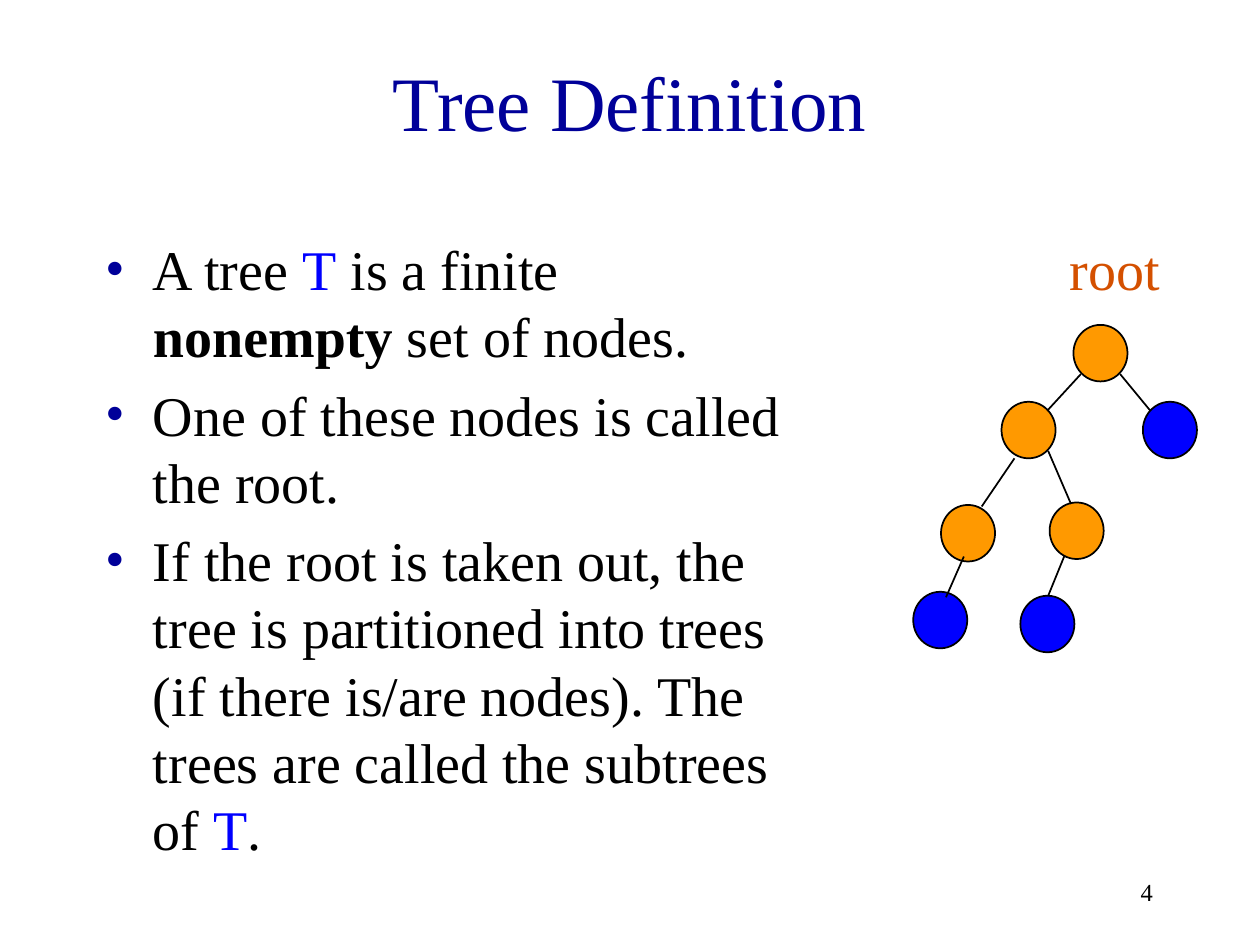
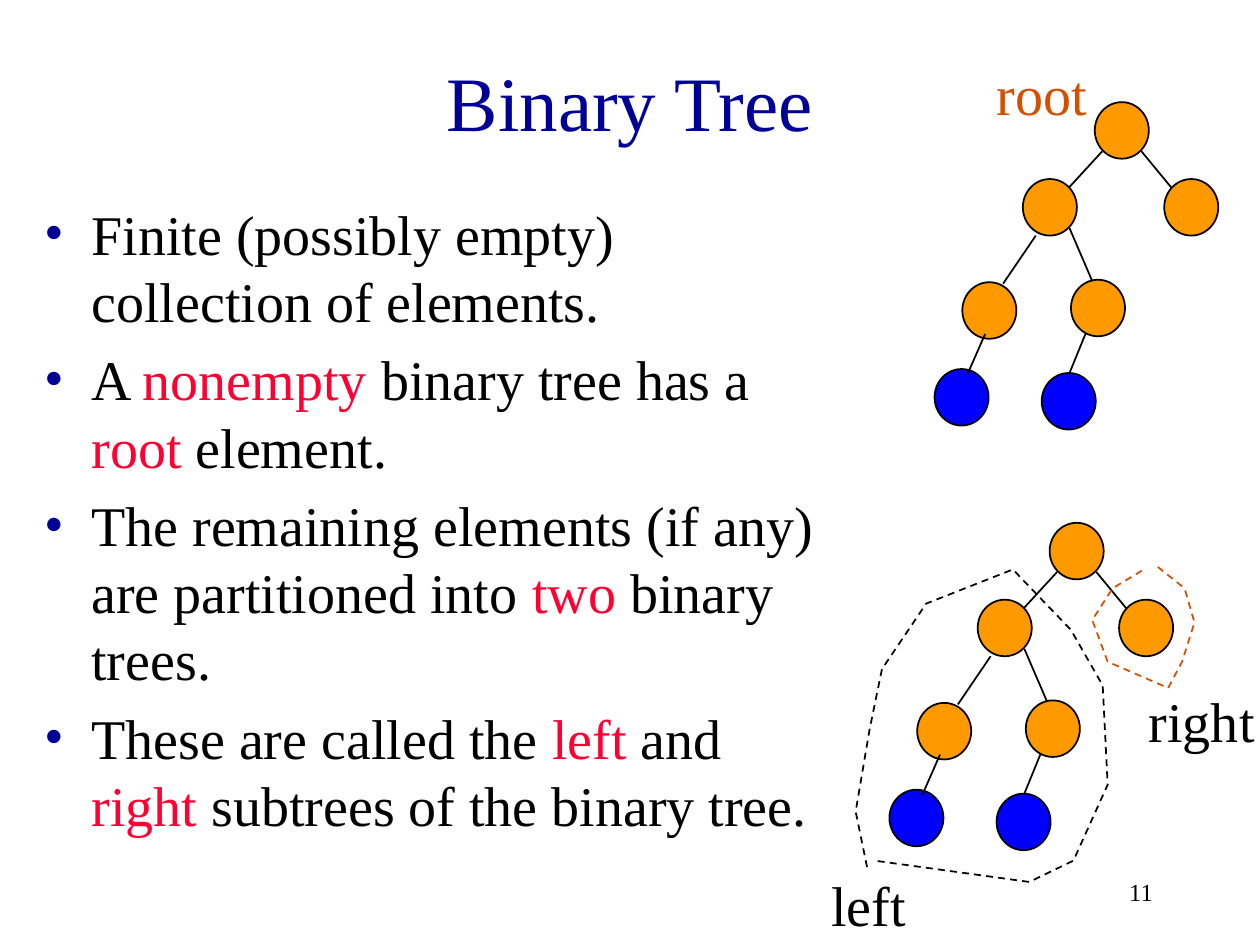
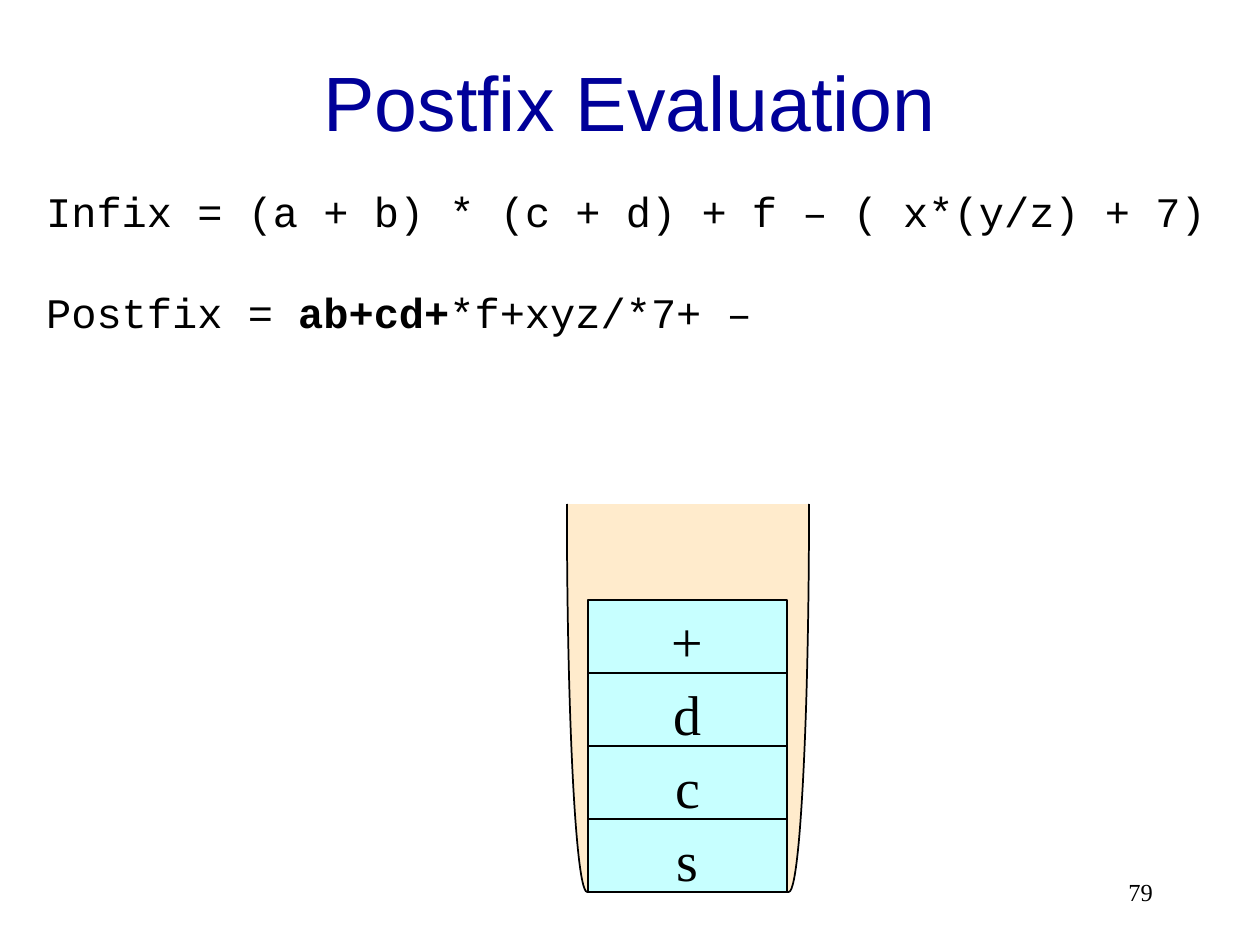
from pptx import Presentation
from pptx.dml.color import RGBColor
from pptx.enum.dml import MSO_LINE
from pptx.enum.shapes import MSO_CONNECTOR, MSO_SHAPE
from pptx.enum.text import MSO_ANCHOR, MSO_AUTO_SIZE, PP_ALIGN
from pptx.oxml.ns import qn
from pptx.util import Cm, Pt
from lxml import etree

NAVY = RGBColor(0x00, 0x00, 0x99)
BLACK = RGBColor(0x00, 0x00, 0x00)
BLUE = RGBColor(0x00, 0x00, 0xFF)
RED = RGBColor(0xFF, 0x00, 0x33)
ORANGE = RGBColor(0xFF, 0x99, 0x00)
RUST = RGBColor(0xD4, 0x50, 0x00)
CREAM = RGBColor(0xFF, 0xEB, 0xCC)
CYAN = RGBColor(0xC7, 0xFF, 0xFF)

SERIF = "Times New Roman"
SANS = "Arial"
MONO = "Courier New"

OVAL = MSO_SHAPE.OVAL
RECTANGLE = MSO_SHAPE.RECTANGLE
LEFT_BRACKET = MSO_SHAPE.LEFT_BRACKET
STRAIGHT = MSO_CONNECTOR.STRAIGHT
DASH = MSO_LINE.DASH
TOP = MSO_ANCHOR.TOP
MIDDLE = MSO_ANCHOR.MIDDLE
NO_FIT = MSO_AUTO_SIZE.NONE
CENTER = PP_ALIGN.CENTER
RIGHT = PP_ALIGN.RIGHT

NODE_W, NODE_H = 1.09, 1.14
NODES = [(0, 0), (-1.45, 1.55), (1.4, 1.55), (-2.67, 3.63),
         (-0.48, 3.58), (-3.23, 5.38), (-1.07, 5.46)]
EDGES = [
    (0.15, 0.99, -0.53, 1.73),
    (-1.19, 2.69, -1.85, 3.66),
    (-2.21, 4.67, -2.57, 5.49),
    (0.94, 0.99, 1.55, 1.73),
    (-0.51, 2.54, -0.05, 3.61),
    (-0.18, 4.65, -0.51, 5.46),
]


def add_runs(p, runs, size, font=SERIF):
    for text, color, bold in runs:
        r = p.add_run()
        r.text = text
        r.font.name = font
        r.font.size = Pt(size)
        r.font.bold = bold
        r.font.color.rgb = color


def add_tree(s, x, y, right_color):
    group = s.shapes.add_group_shape()
    colors = [ORANGE, ORANGE, right_color, ORANGE, ORANGE, BLUE, BLUE]
    for (dx, dy), color in zip(NODES, colors):
        node = group.shapes.add_shape(OVAL, Cm(x + dx), Cm(y + dy), Cm(NODE_W), Cm(NODE_H))
        node.shadow.inherit = False
        node.fill.solid()
        node.fill.fore_color.rgb = color
        node.line.color.rgb = BLACK
        node.line.width = Pt(1)
    for x1, y1, x2, y2 in EDGES:
        edge = group.shapes.add_connector(STRAIGHT, Cm(x + x1), Cm(y + y1), Cm(x + x2), Cm(y + y2))
        edge.line.color.rgb = BLACK
        edge.line.width = Pt(1)
        etree.SubElement(edge._element.spPr, qn("a:effectLst"))


prs = Presentation()
prs.slide_width = Cm(25.4)
prs.slide_height = Cm(19.05)

slides = []
for title, font, layout, number in [
    ("Tree Definition", SERIF, 1, "4"),
    ("Binary Tree", SERIF, 1, "11"),
    ("Postfix Evaluation", SANS, 5, "79"),
]:
    s = prs.slides.add_slide(prs.slide_layouts[layout])
    slides.append(s)
    sp = s.shapes.title
    sp.left, sp.top, sp.width, sp.height = Cm(1.9), Cm(0.43), Cm(21.6), Cm(3.18)
    tf = sp.text_frame
    tf.auto_size = NO_FIT
    tf.vertical_anchor = MIDDLE
    p = tf.paragraphs[0]
    p.alignment = CENTER
    add_runs(p, [(title, NAVY, False)], 44, font)

    tf = s.shapes.add_textbox(Cm(18.21), Cm(17.35), Cm(5.28), Cm(1.27)).text_frame
    tf.word_wrap = True
    tf.vertical_anchor = MIDDLE
    p = tf.paragraphs[0]
    p.alignment = RIGHT
    add_runs(p, [(number, BLACK, False)], 14)

definition, binary, postfix = slides

definition_list = [
    [("A tree ", BLACK, False), ("T", BLUE, False), (" is a finite ", BLACK, False),
     ("nonempty", BLACK, True), (" set of nodes.", BLACK, False)],
    [("One of these nodes is called the root.", BLACK, False)],
    [("If the root is taken out, the tree is partitioned into trees (if there is/are nodes). "
      "The trees are called the subtrees of ", BLACK, False),
     ("T", BLUE, False), (".", BLACK, False)],
]
binary_list = [
    [("Finite (possibly empty) collection of elements.", BLACK, False)],
    [("A ", BLACK, False), ("nonempty", RED, False), (" binary tree has a ", BLACK, False),
     ("root", RED, False), (" element.", BLACK, False)],
    [("The remaining elements (if any) are partitioned into ", BLACK, False),
     ("two", RED, False), (" binary trees.", BLACK, False)],
    [("These are called the ", BLACK, False), ("left", RED, False), (" and ", BLACK, False),
     ("right", RED, False), (" subtrees of the binary tree.", BLACK, False)],
]
for s, x, y, w, items in [
    (definition, 1.88, 4.6, 14.4, definition_list),
    (binary, 0.64, 3.89, 16.56, binary_list),
]:
    sp = s.placeholders[1]
    sp.left, sp.top, sp.width, sp.height = Cm(x), Cm(y), Cm(w), Cm(11.43)
    tf = sp.text_frame
    tf.auto_size = NO_FIT
    for i, runs in enumerate(items):
        p = tf.add_paragraph() if i else tf.paragraphs[0]
        pPr = p._p.get_or_add_pPr()
        pPr.set("marL", str(Cm(0.95)))
        pPr.set("indent", str(-Cm(0.95)))
        buClr = etree.SubElement(pPr, qn("a:buClr"))
        etree.SubElement(buClr, qn("a:srgbClr"), val=str(NAVY))
        etree.SubElement(pPr, qn("a:buFont"), typeface=SERIF)
        etree.SubElement(pPr, qn("a:buChar"), char="•")
        p.space_before = Pt(6.4 if i else 0)
        add_runs(p, runs, 32)

add_tree(definition, 21.64, 6.55, BLUE)
add_tree(binary, 22.07, 2.06, ORANGE)
add_tree(binary, 21.16, 10.54, ORANGE)

left_outline = [
    (17.48, 17.48), (17.25, 16.36), (17.53, 14.71), (17.78, 13.49),
    (18.67, 12.17), (20.42, 11.48), (21.59, 12.7), (22.23, 13.82),
    (22.33, 15.82), (21.64, 17.35), (20.75, 17.78), (17.63, 17.35),
]
right_outline = [
    (23.34, 11.43), (23.88, 11.86), (24.08, 12.55), (23.83, 13.34), (23.55, 13.87),
    (22.33, 13.34), (22.02, 12.5), (22.43, 11.86), (23.06, 11.48),
]
for outline, color in [(left_outline, BLACK), (right_outline, RUST)]:
    points = [(Cm(x), Cm(y)) for x, y in outline]
    builder = binary.shapes.build_freeform(*points[0])
    builder.add_line_segments(points[1:], close=False)
    sp = builder.convert_to_shape()
    sp.shadow.inherit = False
    sp.fill.background()
    sp.line.color.rgb = color
    sp.line.width = Pt(1)
    sp.line.dash_style = DASH

for s, text, x, y, w, color in [
    (definition, "root", 21.31, 4.6, 2.34, RUST),
    (binary, "root", 19.84, 1.07, 2.34, RUST),
    (binary, "left", 16.51, 17.42, 2.03, BLACK),
    (binary, "right", 22.91, 13.72, 2.67, BLACK),
]:
    tf = s.shapes.add_textbox(Cm(x), Cm(y), Cm(w), Cm(1.63)).text_frame
    tf.word_wrap = False
    add_runs(tf.paragraphs[0], [(text, color, False)], 32)

tf = postfix.shapes.add_textbox(Cm(0.53), Cm(3.61), Cm(24.33), Cm(3.33)).text_frame
tf.word_wrap = True
tf.margin_left = Cm(0.4)
add_runs(tf.paragraphs[0],
         [("Infix = (a + b) * (c + d) + f – ( x*(y/z) + 7)", BLACK, False)], 24, MONO)
p = tf.add_paragraph()
p.space_before = Pt(28.8)
add_runs(p, [("Postfix = ", BLACK, False), ("ab+cd+", BLACK, True),
             ("*f+xyz/*7+ –", BLACK, False)], 24, MONO)

bracket = postfix.shapes.add_shape(LEFT_BRACKET, Cm(9.96), Cm(11.63), Cm(7.82), Cm(4.88))
bracket.rotation = 270
bracket.shadow.inherit = False
bracket.fill.solid()
bracket.fill.fore_color.rgb = CREAM
bracket.line.color.rgb = BLACK
bracket.line.width = Pt(1)

CELL_H = 1.47
for i, symbol in enumerate("scd+"):
    cell = postfix.shapes.add_shape(
        RECTANGLE, Cm(11.86), Cm(16.51 - i * CELL_H), Cm(4.01), Cm(CELL_H))
    cell.shadow.inherit = False
    cell.fill.solid()
    cell.fill.fore_color.rgb = CYAN
    cell.line.color.rgb = BLACK
    cell.line.width = Pt(1)
    tf = cell.text_frame
    tf.vertical_anchor = TOP
    p = tf.paragraphs[0]
    p.alignment = CENTER
    add_runs(p, [(symbol, BLACK, False)], 32)

prs.save("out.pptx")
